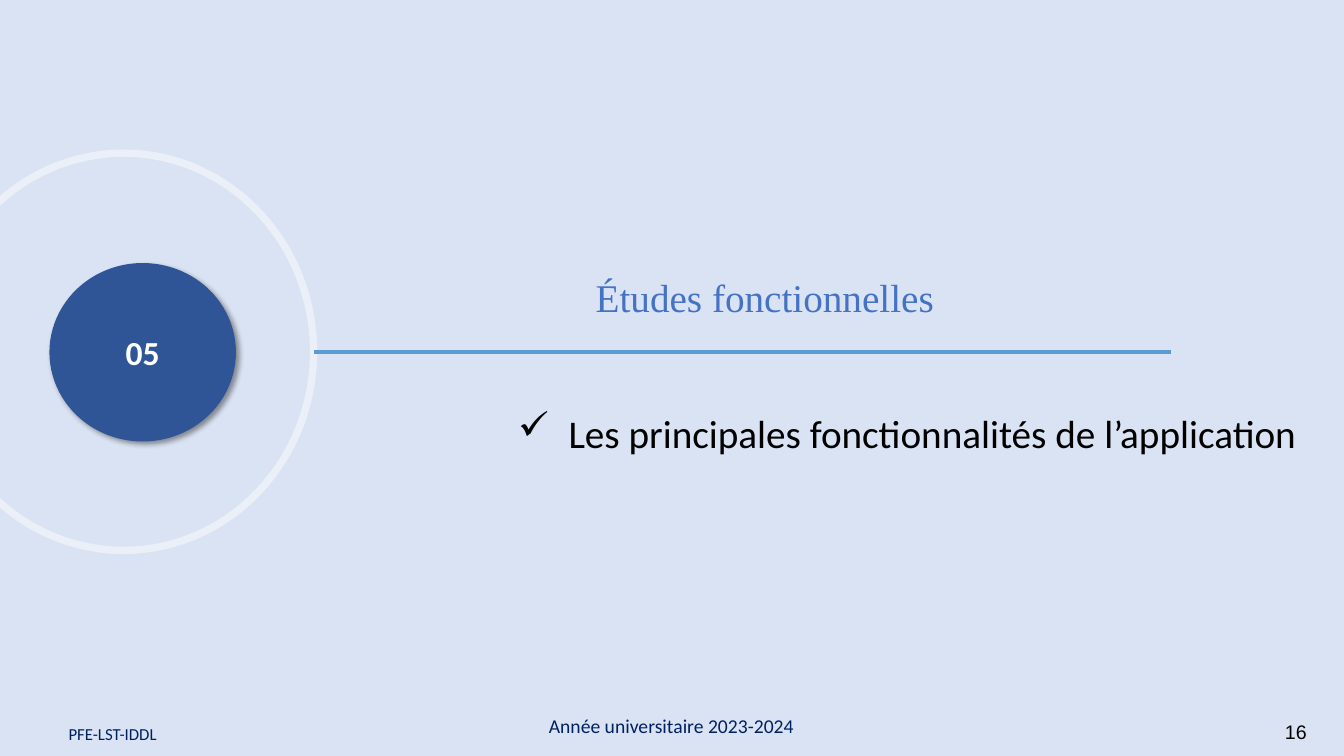
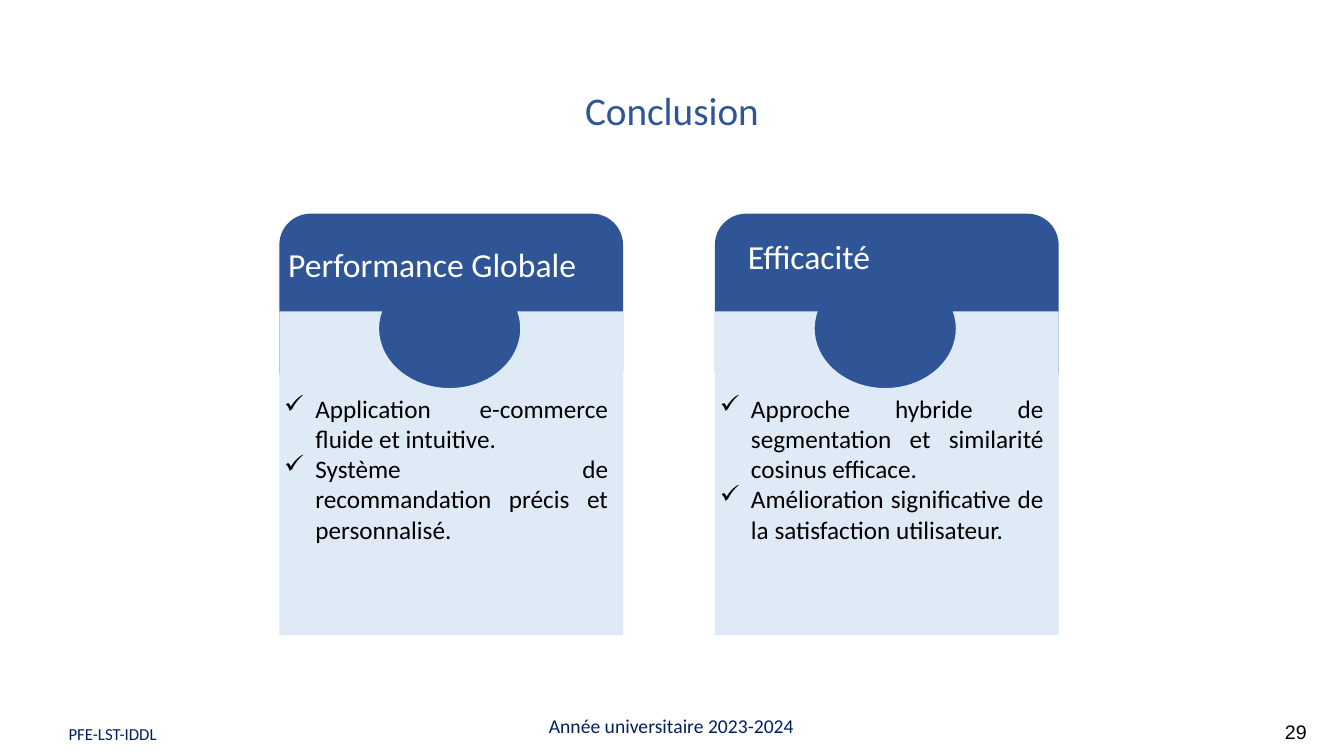
from dataclasses import dataclass
from math import asin, cos, pi, sin

from lxml.etree import SubElement as sub
from pptx import Presentation
from pptx.dml.color import RGBColor as RGB
from pptx.enum.shapes import MSO_CONNECTOR as LINK, MSO_SHAPE as SHAPE
from pptx.enum.text import MSO_ANCHOR as ANCHOR, PP_ALIGN as ALIGN
from pptx.oxml.ns import qn
from pptx.util import Inches, Pt


@dataclass(frozen=True)
class Theme:
    deep: str = "2F5597"
    pale: str = "DEEBF7"
    tint: str = "DAE3F3"
    ring: str = "EBF0F8"
    rule: str = "5B9BD5"
    head: str = "4472C4"
    navy: str = "002060"
    white: str = "FFFFFF"
    black: str = "000000"
    sans: str = "Calibri"
    serif: str = "Times New Roman"
    plain: str = "Arial"
    title: int = 28
    label: int = 24
    body: int = 18
    foot: int = 14
    note: int = 12


T = Theme()
CHECK = "✓"


def paint(fill, color):
    fill.solid()
    fill.fore_color.rgb = RGB.from_string(color)


def finish(shape, fill=None, line=None, width=0):
    """Give a shape its fill and outline, and no shadow."""
    shape.shadow.inherit = False
    if fill:
        paint(shape.fill, fill)
    else:
        shape.fill.background()
    if line:
        paint(shape.line.fill, line)
        shape.line.width = Pt(width)
    else:
        shape.line.fill.background()
    return shape


def add_form(slide, kind, box, **style):
    shape = slide.shapes.add_shape(kind, *map(Inches, box))
    return finish(shape, **style)


def add_check(par, indent):
    """Hang a check mark bullet in the given indent."""
    props = par._p.get_or_add_pPr()
    props.set("marL", str(Inches(indent)))
    props.set("indent", str(-Inches(indent)))
    sub(props, qn("a:buChar"), char=CHECK)


def write(shape, lines, size, color, align=ALIGN.LEFT, face=T.sans,
          bold=False, anchor=ANCHOR.TOP, indent=0):
    frame = shape.text_frame
    frame.word_wrap = True
    frame.vertical_anchor = anchor
    frame.text = "\n".join(lines)
    for par in frame.paragraphs:
        par.alignment = align
        if indent:
            add_check(par, indent)
        font = par.font
        font.name, font.size, font.bold = face, Pt(size), bold
        font.color.rgb = RGB.from_string(color)


def add_text(slide, box, lines, size, color, **style):
    write(slide.shapes.add_textbox(*map(Inches, box)),
          lines, size, color, **style)


def add_rule(slide, start, end, color, width):
    rule = slide.shapes.add_connector(LINK.STRAIGHT, *map(Inches, start + end))
    paint(rule.line.fill, color)
    rule.line.width = Pt(width)
    sub(rule._element.spPr, qn("a:effectLst"))


def add_shade(shape):
    """Cast a soft shadow to the lower right."""
    effects = shape._element.spPr.find(qn("a:effectLst"))
    shade = sub(effects, qn("a:outerShdw"), blurRad=str(Pt(4)),
                dist=str(Pt(3)), dir="2700000", algn="tl", rotWithShape="0")
    color = sub(shade, qn("a:srgbClr"), val=T.black)
    sub(color, qn("a:alpha"), val="40000")


def add_panel(slide, left, top, width, height):
    """Draw a card body with a round notch in its top edge."""
    mid, drop, across, down = left + 1.69, 0.17, 0.7, 0.59
    lift = asin(drop / down)
    steps = 40
    turns = [pi + lift - (pi + 2 * lift) * i / steps for i in range(steps + 1)]
    notch = [(mid + across * cos(a), top + drop + down * sin(a)) for a in turns]
    right, base = left + width, top + height
    points = notch + [(right, top), (right, base), (left, base)]
    pen = slide.shapes.build_freeform(Inches(left), Inches(top))
    pen.add_line_segments([(Inches(x), Inches(y)) for x, y in points])
    finish(pen.convert_to_shape(), fill=T.pale)


def add_card(slide, left, name, spot, points):
    """Draw a card; spot is the place of its name."""
    width = 3.41
    add_form(slide, SHAPE.ROUNDED_RECTANGLE, (left, 2.12, width, 1.86),
             fill=T.deep)
    add_panel(slide, left, 3.09, width, 3.21)
    add_text(slide, (*spot, width, 0.5), [name], T.label, T.white,
             align=ALIGN.JUSTIFY)
    add_text(slide, (left - 0.05, 3.85, width, 1.62), points, T.body, T.black,
             align=ALIGN.JUSTIFY, indent=0.31)


def add_slide(deck, back):
    slide = deck.slides.add_slide(deck.slide_layouts[6])
    paint(slide.background.fill, back)
    return slide


def add_foot(slide, back, page):
    add_text(slide, (10.73, 7.06, 2.33, 0.4), [page], T.foot, T.black,
             align=ALIGN.RIGHT, face=T.plain, anchor=ANCHOR.MIDDLE)
    band = add_form(slide, SHAPE.RECTANGLE, (0.55, 7.15, 10, 0.27), fill=back)
    band.text_frame.margin_left = Inches(0.13)
    write(band, ["PFE-LST-IDDL"], T.note, T.navy, anchor=ANCHOR.MIDDLE)
    add_text(slide, (3.33, 7.03, 6.66, 0.34), ["Année universitaire 2023-2024"],
             T.foot, T.navy, align=ALIGN.CENTER)


def build_part(deck):
    slide = add_slide(deck, T.tint)
    disc = add_form(slide, SHAPE.OVAL, (0.49, 2.61, 1.85, 1.77), fill=T.deep)
    add_shade(disc)
    write(disc, ["05"], T.label, T.white, align=ALIGN.CENTER, bold=True,
          anchor=ANCHOR.MIDDLE)
    add_text(slide, (5.81, 2.65, 5.81, 0.6), ["Études fonctionnelles"],
             T.title, T.head, face=T.serif, anchor=ANCHOR.MIDDLE)
    add_text(slide, (5.04, 4.01, 7.98, 0.57),
             ["Les principales fonctionnalités de l’application"],
             T.title, T.black, indent=0.5)
    add_form(slide, SHAPE.OVAL, (-0.66, 1.52, 3.77, 3.94),
             line=T.ring, width=5.25)
    add_rule(slide, (3.11, 3.49), (11.61, 3.49), T.rule, 3)
    add_foot(slide, T.tint, "16")


def build_close(deck):
    slide = add_slide(deck, T.white)
    add_text(slide, (3.94, 0.81, 5.45, 0.57), ["Conclusion"],
             T.title, T.deep, align=ALIGN.CENTER)
    add_card(slide, 2.77, "Performance Globale", (2.76, 2.37), [
        "Application e-commerce fluide et intuitive.",
        "Système de recommandation précis et personnalisé.",
    ])
    add_card(slide, 7.09, "Efficacité", (7.32, 2.29), [
        "Approche hybride de segmentation et similarité cosinus efficace.",
        "Amélioration significative de la satisfaction utilisateur.",
    ])
    add_foot(slide, T.white, "29")


def main():
    deck = Presentation()
    deck.slide_width, deck.slide_height = Inches(13.33), Inches(7.5)
    build_part(deck)
    build_close(deck)
    deck.save("out.pptx")


if __name__ == "__main__":
    main()
